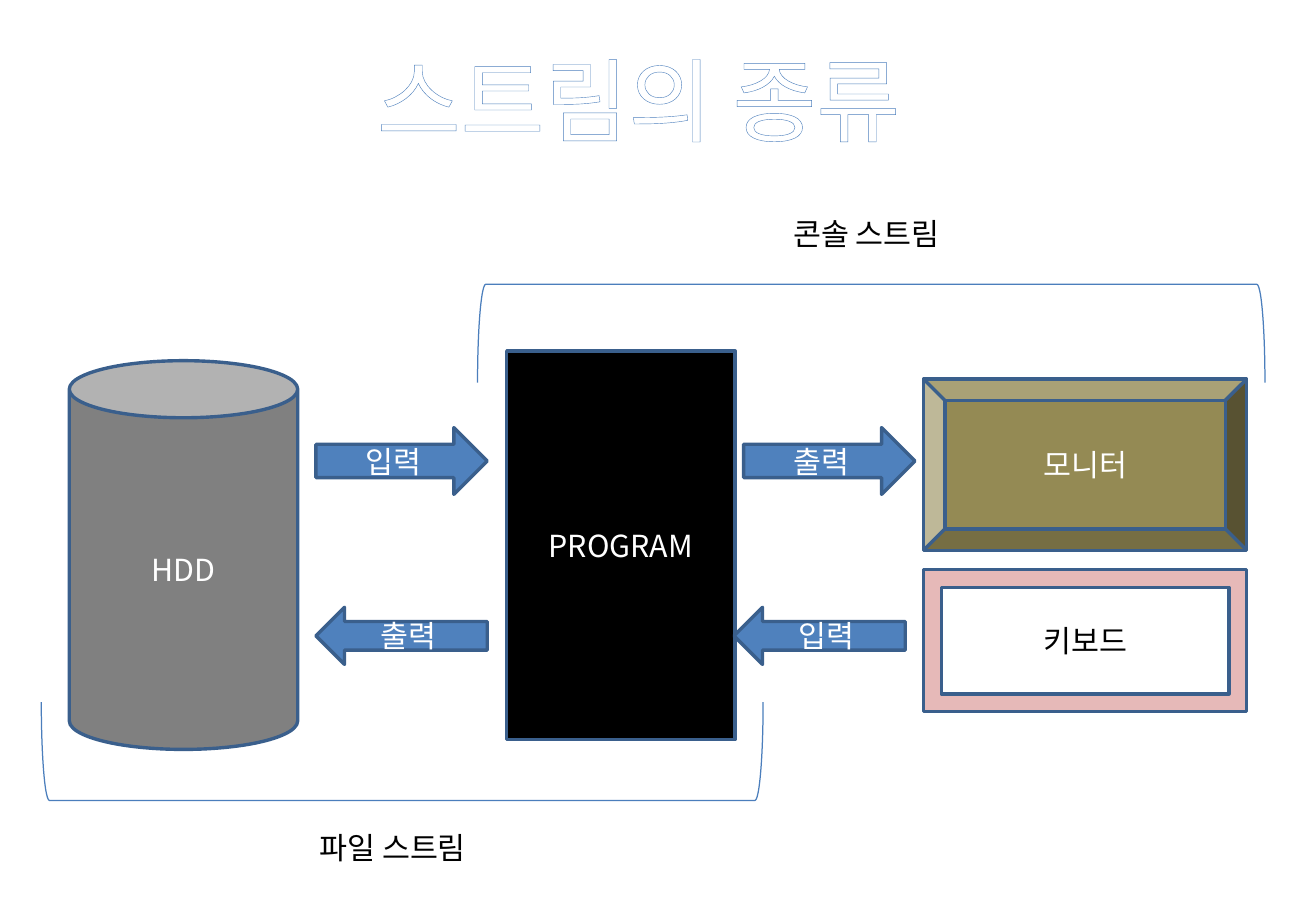
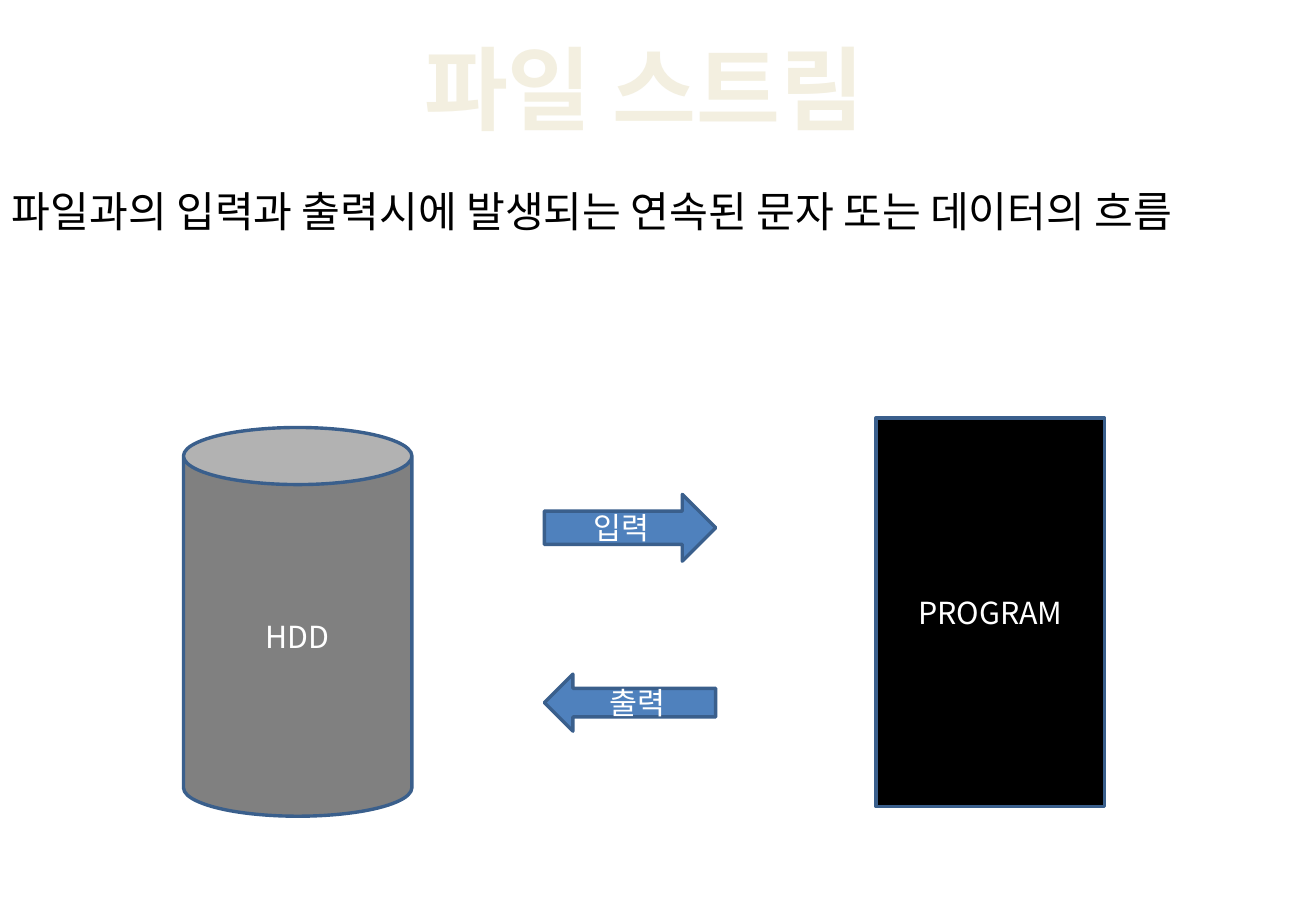
"""Builds two slides on console and file streams."""
from lxml.etree import SubElement
from pptx import Presentation
from pptx.dml.color import RGBColor
from pptx.enum.shapes import MSO_SHAPE as SHAPE
from pptx.enum.text import MSO_ANCHOR as ANCHOR, PP_ALIGN as ALIGN
from pptx.oxml import parse_xml
from pptx.oxml.ns import nsdecls, qn
from pptx.util import Inches, Pt

FONT = "Noto Sans CJK KR"
WHITE = RGBColor(0xFF, 0xFF, 0xFF)
BLACK = RGBColor(0, 0, 0)
GRAY = RGBColor(0x80, 0x80, 0x80)
BLUE = RGBColor(0x4F, 0x81, 0xBD)
EDGE = RGBColor(0x3A, 0x5F, 0x8C)
BRACKET = RGBColor(0x4B, 0x7E, 0xBC)
OLIVE = RGBColor(0x94, 0x8A, 0x54)
PINK = RGBColor(0xE6, 0xB9, 0xB8)
CREAM = RGBColor(0xF3, 0xEF, 0xE0)

BLOCK_W, BLOCK_H = 1.88, 3.2
DEVICE_W = 2.66
ARROW_W, RIGHT_H, LEFT_H = 1.41, 0.55, 0.47
ARROW_STEP = 1.48
BRACKET_DEPTH = 0.81


def write(tf, text, size, color, align=ALIGN.LEFT, bold=False):
    """Set one line of text and return its run."""
    tf.text = text
    p = tf.paragraphs[0]
    p.alignment = align
    r = p.runs[0]
    r.font.name, r.font.size, r.font.bold = FONT, Pt(size), bold
    r.font.color.rgb = color
    SubElement(r.font._element, qn("a:ea"), typeface=FONT)
    return r


def add_title(s, text, x, y, w, color, bold=False, outline=None):
    """Place the slide title, with an outline round the letters if given."""
    sp = s.shapes.title
    sp.left, sp.top, sp.width, sp.height = map(Inches, (x, y, w, 1.01))
    tf = sp.text_frame
    tf.word_wrap, tf.vertical_anchor = False, ANCHOR.TOP
    r = write(tf, text, 54, color, ALIGN.CENTER, bold)
    if outline:
        r.font._element.insert(0, parse_xml(
            f'<a:ln {nsdecls("a")} w="{Pt(0.8)}"><a:solidFill>'
            f'<a:srgbClr val="{outline}"/></a:solidFill></a:ln>'))


def add_label(s, text, x, y, w, h=0.4, size=18, wrap=True):
    """Add a plain black line of text."""
    tf = s.shapes.add_textbox(*map(Inches, (x, y, w, h))).text_frame
    tf.word_wrap = wrap
    write(tf, text, size, BLACK)


def add_block(s, kind, text, x, y, w, h, fill, color=WHITE):
    """Add an edged shape with centred text."""
    sp = s.shapes.add_shape(kind, *map(Inches, (x, y, w, h)))
    sp.shadow.inherit = False
    sp.fill.solid()
    sp.fill.fore_color.rgb = fill
    sp.line.color.rgb, sp.line.width = EDGE, Pt(2)
    sp.text_frame.vertical_anchor = ANCHOR.MIDDLE
    write(sp.text_frame, text, 18, color, ALIGN.CENTER)


def add_bracket(s, x, y, w, rotation):
    """Lay a bracket on its side across the box at x, y."""
    left, top = x + (w - BRACKET_DEPTH) / 2, y + (BRACKET_DEPTH - w) / 2
    sp = s.shapes.add_shape(SHAPE.LEFT_BRACKET,
                            *map(Inches, (left, top, BRACKET_DEPTH, w)))
    sp.rotation = rotation
    sp.shadow.inherit = False
    sp.fill.background()
    sp.line.color.rgb, sp.line.width = BRACKET, Pt(0.75)


def add_arrows(s, right, left, x, y, left_shift=0):
    """Add a right arrow above a left arrow."""
    add_block(s, SHAPE.RIGHT_ARROW, right, x, y, ARROW_W, RIGHT_H, BLUE)
    add_block(s, SHAPE.LEFT_ARROW, left, x + left_shift, y + ARROW_STEP,
              ARROW_W, LEFT_H, BLUE)


def add_file_flow(s, x, y, arrow_dx, program_dx):
    """Add the disk, the program and the arrows between them."""
    add_block(s, SHAPE.RECTANGLE, "PROGRAM", x + program_dx, y - 0.08,
              BLOCK_W, BLOCK_H, BLACK)
    add_block(s, SHAPE.CAN, "HDD", x, y, BLOCK_W, BLOCK_H, GRAY)
    add_arrows(s, "입력", "출력", x + arrow_dx, y + 0.55)


def add_console_flow(s, x, y):
    """Add the monitor, the keyboard and their arrows."""
    device_x = x + 1.48
    add_block(s, SHAPE.BEVEL, "모니터", device_x, y, DEVICE_W, 1.41, OLIVE)
    add_block(s, SHAPE.FRAME, "키보드", device_x, y + 1.57, DEVICE_W, 1.17,
              PINK, BLACK)
    add_arrows(s, "출력", "입력", x, y + 0.4, left_shift=-0.08)


def stream_kinds_slide(s):
    """Show both kinds of stream around the program."""
    add_title(s, "스트림의 종류", 2.75, 0.31, 5.01, WHITE, outline=BLUE)
    add_file_flow(s, 0.57, 2.97, arrow_dx=2.03, program_dx=3.6)
    add_bracket(s, 0.34, 5.78, 5.94, 270)
    add_label(s, "파일 스트림", 2.53, 6.78, 2.11)
    add_console_flow(s, 6.12, 3.12)
    add_bracket(s, 3.93, 2.34, 6.48, 90)
    add_label(s, "콘솔 스트림", 6.43, 1.72, BLOCK_W)


def file_stream_slide(s):
    """Explain the file stream."""
    add_title(s, "파일 스트림", 2.8, 0.22, 5, CREAM, bold=True)
    add_label(s, "파일과의 입력과 출력시에 발생되는 연속된 문자 또는 데이터의 흐름",
              0, 1.48, 11, 0.52, size=25, wrap=False)
    add_file_flow(s, 1.51, 3.52, arrow_dx=2.97, program_dx=5.7)


def main():
    """Build and save the slides."""
    prs = Presentation()
    prs.slide_width, prs.slide_height = Inches(10.83), Inches(7.5)
    for build in (stream_kinds_slide, file_stream_slide):
        build(prs.slides.add_slide(prs.slide_layouts[5]))
    prs.save("out.pptx")


if __name__ == "__main__":
    main()
